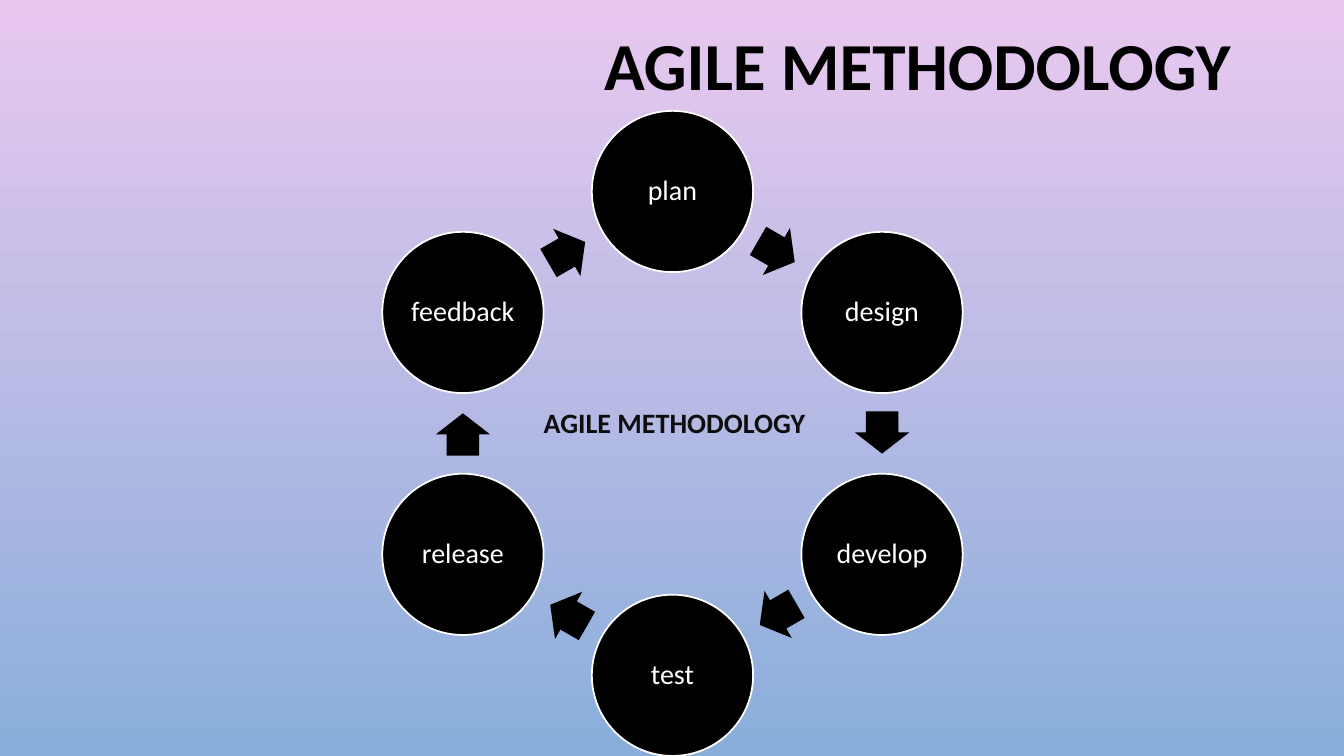
"""Build the agile methodology cycle slide."""
from dataclasses import dataclass
from math import cos, radians, sin

from pptx import Presentation
from pptx import util as u
from pptx.dml import color
from pptx.enum import shapes, text

HUES = {"ink": "000000", "label": "0D0D0D", "white": "FFFFFF",
        "top": "E9C8EF", "base": "89AEDB"}
STEPS = ("plan", "design", "develop", "test", "release", "feedback")
MID_X, MID_Y, RING = 6.67, 4.3, 2.4
DISC, LONG, WIDE, LAG = 1.6, 0.42, 0.54, 0.01


@dataclass
class Stage:
    """A named step and its clockwise angle from the top."""
    name: str
    turn: float


def hue(name: str) -> color.RGBColor:
    """Return a palette colour."""
    return color.RGBColor.from_string(HUES[name])


def place(x: float, y: float, wide: float, high: float) -> list[u.Length]:
    """Return the box centred on a point."""
    return [u.Inches(v) for v in (x - wide / 2, y - high / 2, wide, high)]


def write(shape, words: str, size: int, ink: str, bold: bool = False) -> None:
    """Set centred text and its font."""
    frame = shape.text_frame
    frame.text = words
    frame.word_wrap = True
    frame.vertical_anchor = text.MSO_ANCHOR.MIDDLE
    line = frame.paragraphs[0]
    line.alignment = text.PP_ALIGN.CENTER
    line.line_spacing = 0.9
    font = line.runs[0].font
    font.name, font.size, font.bold = "Calibri", u.Pt(size), bold
    font.color.rgb = hue(ink)


def solid(slide, kind, box: list[u.Length]):
    """Add a black shape without a shadow."""
    shape = slide.shapes.add_shape(kind, *box)
    shape.shadow.inherit = False
    shape.fill.solid()
    shape.fill.fore_color.rgb = hue("ink")
    return shape


def disc(slide, stage: Stage) -> None:
    """Draw the circle of a stage."""
    angle = radians(stage.turn)
    x, y = MID_X + RING * sin(angle), MID_Y - RING * cos(angle)
    shape = solid(slide, shapes.MSO_SHAPE.OVAL, place(x, y, DISC, DISC))
    shape.line.color.rgb = hue("white")
    shape.line.width = u.Pt(1.25)
    frame = shape.text_frame
    frame.margin_left = frame.margin_right = u.Inches(0.03)
    frame.margin_top = frame.margin_bottom = u.Inches(0.03)
    write(shape, stage.name, 20, "white")


def arrow(slide, stage: Stage, step: float) -> None:
    """Draw the arrow that leads to the next stage."""
    turn = stage.turn + step / 2
    angle = radians(turn)
    reach = RING * cos(radians(step / 2))
    x = MID_X + reach * sin(angle) - LAG * cos(angle)
    y = MID_Y - reach * cos(angle) - LAG * sin(angle)
    shape = solid(slide, shapes.MSO_SHAPE.RIGHT_ARROW, place(x, y, LONG, WIDE))
    shape.adjustments[0], shape.adjustments[1] = 0.6, 0.5
    shape.rotation = turn
    shape.line.fill.background()


def paint(slide) -> None:
    """Fill the background from pink down to blue."""
    fill = slide.background.fill
    fill.gradient()
    fill.gradient_angle = 270
    for stop, spot, name in zip(fill.gradient_stops, (0, 1), ("top", "base")):
        stop.position = spot
        stop.color.rgb = hue(name)


def main() -> None:
    """Build and save the slide."""
    deck = Presentation()
    deck.slide_width, deck.slide_height = u.Inches(13.33), u.Inches(7.5)
    slide = deck.slides.add_slide(deck.slide_layouts[5])
    paint(slide)

    title = slide.shapes.title
    title.left, title.top, title.width, title.height = place(9.1, 0.55, 7.23, 1.09)
    write(title, "AGILE METHODOLOGY", 48, "ink", True)
    title.text_frame.vertical_anchor = text.MSO_ANCHOR.BOTTOM

    label = slide.shapes.add_textbox(*place(6.69, 4.21, 3, 0.5))
    write(label, "AGILE METHODOLOGY", 20, "label", True)

    step = 360 / len(STEPS)
    for rank, name in enumerate(STEPS):
        stage = Stage(name, rank * step)
        disc(slide, stage)
        arrow(slide, stage, step)
    deck.save("out.pptx")


if __name__ == "__main__":
    main()
